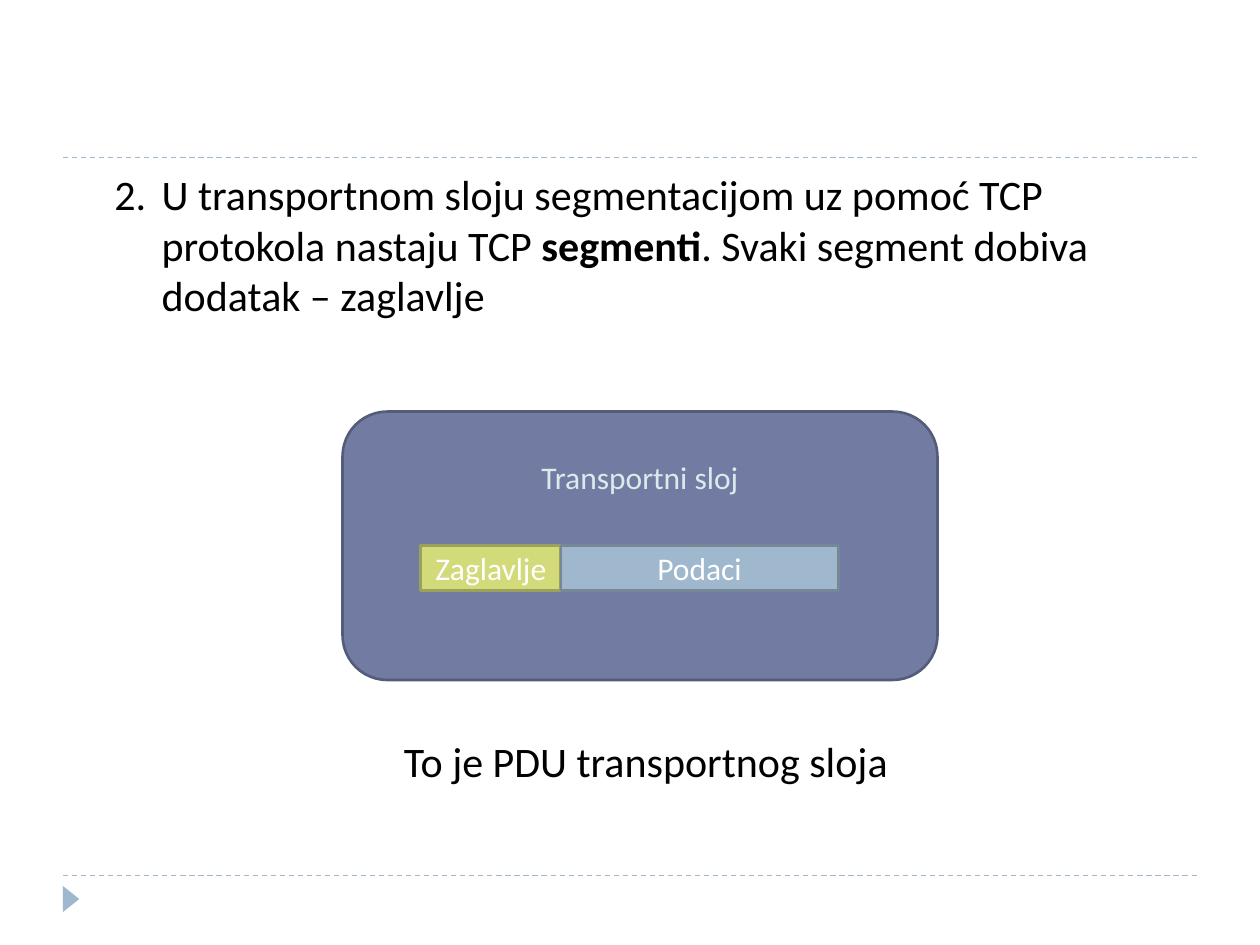
"""Build the slide on TCP segments in the transport layer."""
from lxml.etree import SubElement
from pptx import Presentation
from pptx.dml.color import RGBColor
from pptx.enum.dml import MSO_LINE
from pptx.enum.shapes import MSO_CONNECTOR, MSO_SHAPE
from pptx.enum.text import MSO_ANCHOR, MSO_AUTO_SIZE, PP_ALIGN
from pptx.oxml.ns import qn
from pptx.util import Pt

BLACK = RGBColor(0x00, 0x00, 0x00)
WHITE = RGBColor(0xFF, 0xFF, 0xFF)
PALE = RGBColor(0xDD, 0xE9, 0xEC)
BLUE = RGBColor(0x9F, 0xB8, 0xCD)
BLUE_EDGE = RGBColor(0x76, 0x88, 0x98)
VIOLET = RGBColor(0x72, 0x7C, 0xA3)
VIOLET_EDGE = RGBColor(0x54, 0x5C, 0x79)
LIME = RGBColor(0xD2, 0xDA, 0x7A)
LIME_EDGE = RGBColor(0x9B, 0xA1, 0x5A)


def write(tf, text, bold="", size=24, color=BLACK, font="Calibri",
          align=PP_ALIGN.LEFT, number=None, indent=27):
    p = tf.paragraphs[0]
    p.alignment = align
    if number:
        pPr = p._p.get_or_add_pPr()
        pPr.set("marL", str(Pt(indent)))
        pPr.set("indent", str(-Pt(indent)))
        SubElement(pPr, qn("a:buFont"), typeface="+mj-lt")
        SubElement(pPr, qn("a:buAutoNum"), type="arabicPeriod", startAt=str(number))
    before, strong, after = text.partition(bold) if bold else (text, "", "")
    for part in filter(None, (before, strong, after)):
        r = p.add_run()
        r.text = part
        r.font.name, r.font.size = font, Pt(size)
        r.font.bold = part == strong
        r.font.color.rgb = color


class Slide:
    """Holds the line style and the current slide, and draws its elements."""

    def __init__(self, prs, edge_width=1.5, rule_width=0.75):
        self.s = prs.slides.add_slide(prs.slide_layouts[6])
        self.edge_width = edge_width
        self.rule_width = rule_width

    def rule(self, y, left=36, right=684):
        c = self.s.shapes.add_connector(
            MSO_CONNECTOR.STRAIGHT, Pt(left), Pt(y), Pt(right), Pt(y))
        c.line.color.rgb = BLUE
        c.line.width = Pt(self.rule_width)
        c.line.dash_style = MSO_LINE.DASH
        SubElement(c._element.spPr, qn("a:effectLst"))

    def shape(self, kind, x, y, w, h, fill, edge=None, label="", rotation=0):
        sp = self.s.shapes.add_shape(kind, Pt(x), Pt(y), Pt(w), Pt(h))
        sp.shadow.inherit = False
        sp.rotation = rotation
        sp.fill.solid()
        sp.fill.fore_color.rgb = fill
        if edge is None:
            sp.line.fill.background()
        else:
            sp.line.color.rgb = edge
            sp.line.width = Pt(self.edge_width)
        if label:
            sp.text_frame.vertical_anchor = MSO_ANCHOR.MIDDLE
            write(sp.text_frame, label, size=18, color=WHITE, align=PP_ALIGN.CENTER)

    def text(self, x, y, w, h, text, wrap=False, **style):
        tf = self.s.shapes.add_textbox(Pt(x), Pt(y), Pt(w), Pt(h)).text_frame
        tf.word_wrap = wrap
        tf.auto_size = MSO_AUTO_SIZE.SHAPE_TO_FIT_TEXT
        write(tf, text, **style)


def main():
    prs = Presentation()
    prs.slide_width, prs.slide_height = Pt(720), Pt(540)
    s = Slide(prs)
    for y in (500.4, 90):
        s.rule(y)
    s.shape(MSO_SHAPE.ISOSCELES_TRIANGLE, 33.1, 509, 15, 9.4, BLUE, rotation=90)
    s.shape(MSO_SHAPE.ROUNDED_RECTANGLE, 195.75, 235.2, 340, 153.4, VIOLET, VIOLET_EDGE)
    s.text(58.3, 92.9, 591, 94.5,
           "U transportnom sloju segmentacijom uz pomoć TCP protokola nastaju TCP "
           "segmenti. Svaki segment dobiva dodatak – zaglavlje",
           wrap=True, bold="segmenti", number=2)
    s.text(300.7, 258, 130, 29, "Transportni sloj",
           size=18, color=PALE, align=PP_ALIGN.CENTER)
    s.text(223.7, 417, 294.5, 36, "To je PDU transportnog sloja")
    x = 240.5
    for label, w, fill, edge in (("Zaglavlje", 80, LIME, LIME_EDGE),
                                 ("Podaci", 158.5, BLUE, BLUE_EDGE)):
        s.shape(MSO_SHAPE.RECTANGLE, x, 311.8, w, 25.5, fill, edge, label)
        x += w
    prs.save("out.pptx")


if __name__ == "__main__":
    main()
